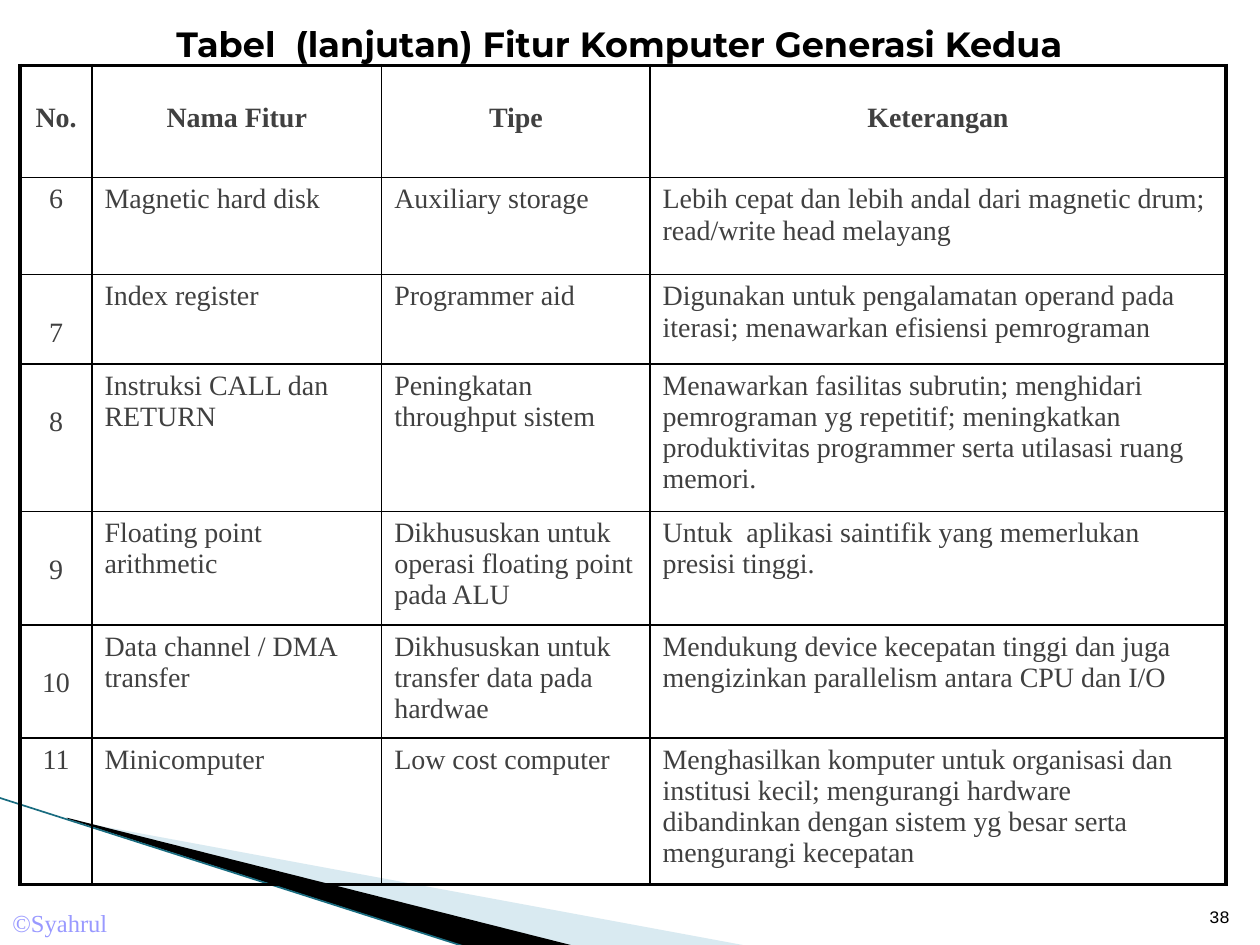
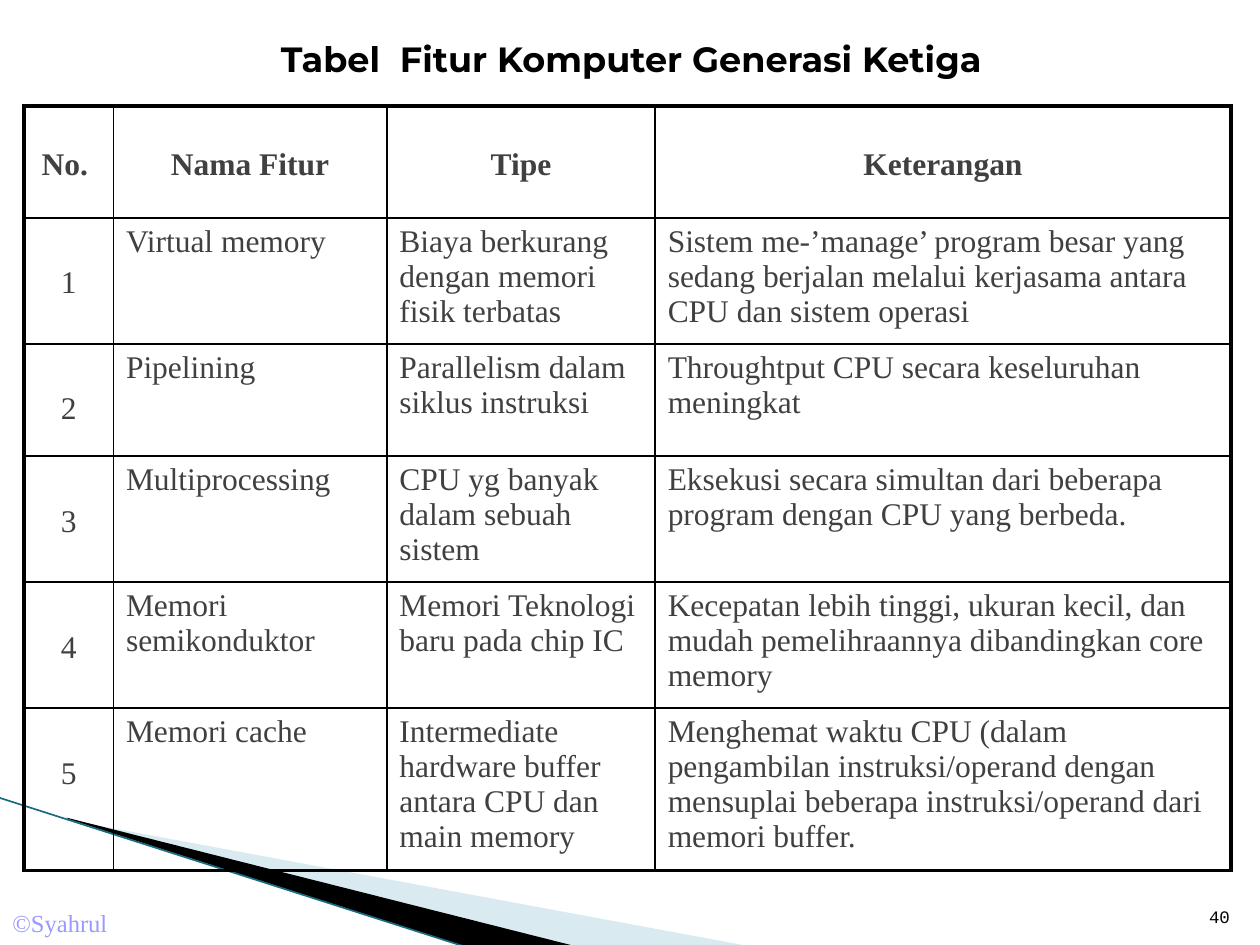
from dataclasses import dataclass

from lxml import etree
from pptx import Presentation
from pptx.dml.color import RGBColor
from pptx.enum.shapes import MSO_CONNECTOR
from pptx.enum.text import MSO_ANCHOR, MSO_AUTO_SIZE, PP_ALIGN
from pptx.oxml.ns import qn
from pptx.util import Inches, Pt

LEFT, CENTER, RIGHT = PP_ALIGN.LEFT, PP_ALIGN.CENTER, PP_ALIGN.RIGHT
TOP, BOTTOM = MSO_ANCHOR.TOP, MSO_ANCHOR.BOTTOM
STRAIGHT = MSO_CONNECTOR.STRAIGHT
NO_AUTOFIT = MSO_AUTO_SIZE.NONE


@dataclass(frozen=True)
class Theme:
    black: str = "000000"
    body: str = "404040"
    credit: str = "9999FF"
    pale_band: str = "A0CBDC"
    band_edge: str = "196C80"
    title_font: str = "Montserrat"
    body_font: str = "Times New Roman"
    number_font: str = "Courier New"
    title_size: int = 20
    credit_size: int = 14
    number_size: int = 10
    outer_border: float = 2.25
    inner_border: float = 1


THEME = Theme()
CREDIT = "©Syahrul"
HEADERS = ("No. ", "Nama Fitur", "Tipe", "Keterangan")
PALE_BAND = [(0.55, 6.51), (5.95, 7.51), (4.56, 7.51), (0.55, 6.5)]
PALE_FRAME = (0.78, 5.47, 4.16, 1.58)
BLACK_BAND = [(0.53, 6.49), (4.57, 7.51), (3.72, 7.52), (0.54, 6.5)]
BLACK_FRAME = (-0.06, 6.33, 4.16, 0.92)
BAND_EDGE = (-0.01, 6.33, 3.71, 7.52)

FEATURE_TABLES = [
    {
        "title": "Tabel  (lanjutan) Fitur Komputer Generasi Kedua",
        "title_box": (1.3, 0.13, 7.69, 0.43),
        "page": "38",
        "origin": (0.16, 0.52),
        "columns": (0.57, 2.3, 2.13, 4.57),
        "heights": (0.89, 0.77, 0.71, 1.17, 0.9, 0.9, 1.16),
        "size": 16,
        "number_drop": 0.29,
        "raised_numbers": ("6", "11"),
        "rows": [
            ("6", "Magnetic hard disk", "Auxiliary storage",
             "Lebih cepat dan lebih andal dari magnetic drum; read/write head melayang"),
            ("7", "Index register", "Programmer aid",
             "Digunakan untuk pengalamatan operand pada iterasi; "
             "menawarkan efisiensi pemrograman"),
            ("8", "Instruksi CALL dan RETURN", "Peningkatan throughput sistem",
             "Menawarkan fasilitas subrutin; menghidari pemrograman yg repetitif; "
             "meningkatkan produktivitas programmer serta utilasasi ruang memori."),
            ("9", "Floating point arithmetic",
             "Dikhususkan untuk operasi floating point pada ALU",
             "Untuk  aplikasi saintifik yang memerlukan presisi tinggi."),
            ("10", "Data channel / DMA transfer",
             "Dikhususkan untuk transfer data pada hardwae",
             "Mendukung device kecepatan tinggi dan juga mengizinkan parallelism "
             "antara CPU dan I/O"),
            ("11", "Minicomputer", "Low cost computer",
             "Menghasilkan komputer untuk organisasi dan institusi kecil; mengurangi "
             "hardware dibandinkan dengan sistem yg besar serta mengurangi kecepatan"),
        ],
    },
    {
        "title": "Tabel  Fitur Komputer Generasi Ketiga",
        "title_box": (2.13, 0.25, 6.18, 0.43),
        "page": "40",
        "origin": (0.19, 0.84),
        "columns": (0.71, 2.17, 2.13, 4.57),
        "heights": (0.89, 1, 0.89, 1, 1, 1.29),
        "size": 18,
        "number_drop": 0.33,
        "raised_numbers": (),
        "rows": [
            ("1", "Virtual memory", "Biaya berkurang dengan memori fisik terbatas",
             "Sistem me-’manage’ program besar yang sedang berjalan melalui kerjasama "
             "antara CPU dan sistem operasi"),
            ("2", "Pipelining", "Parallelism dalam siklus instruksi",
             "Throughtput CPU secara keseluruhan meningkat"),
            ("3", "Multiprocessing", "CPU yg banyak dalam sebuah sistem",
             "Eksekusi secara simultan dari beberapa program dengan CPU yang berbeda."),
            ("4", "Memori semikonduktor", "Memori Teknologi baru pada chip IC",
             "Kecepatan lebih tinggi, ukuran kecil, dan mudah pemelihraannya "
             "dibandingkan core memory"),
            ("5", "Memori cache",
             "Intermediate hardware buffer antara CPU dan main memory",
             "Menghemat waktu CPU (dalam pengambilan instruksi/operand dengan "
             "mensuplai beberapa instruksi/operand dari memori buffer."),
        ],
    },
]


def write(text_frame, text, *, size, font=THEME.body_font, color=THEME.black,
          bold=False, align=LEFT, spacing=1.0):
    paragraph = text_frame.paragraphs[0]
    paragraph.alignment = align
    paragraph.line_spacing = spacing
    run = paragraph.add_run()
    run.text = text
    run.font.name = font
    run.font.size = Pt(size)
    run.font.bold = bold
    run.font.color.rgb = RGBColor.from_string(color)


def add_text_box(slide, box, text, *, anchor=TOP, wrap=True, **text_format):
    shape = slide.shapes.add_textbox(*map(Inches, box))
    shape.text_frame.word_wrap = wrap
    shape.text_frame.vertical_anchor = anchor
    write(shape.text_frame, text, **text_format)
    return shape


def reframe(shape, frame):
    left, top, width, height = map(Inches, frame)
    geometry = shape.element.spPr.find(".//" + qn("a:pathLst"))[0]
    for point in geometry.iter(qn("a:pt")):
        point.set("x", str(int(point.get("x")) + shape.left - left))
        point.set("y", str(int(point.get("y")) + shape.top - top))
    geometry.set("w", str(width))
    geometry.set("h", str(height))
    shape.left, shape.top, shape.width, shape.height = left, top, width, height


def add_band(slide, points, frame, color, opacity=None):
    corners = [(Inches(x), Inches(y)) for x, y in points]
    builder = slide.shapes.build_freeform(*corners[0], scale=1.0)
    builder.add_line_segments(corners[1:], close=True)
    shape = builder.convert_to_shape()
    reframe(shape, frame)
    shape.shadow.inherit = False
    shape.fill.solid()
    shape.fill.fore_color.rgb = RGBColor.from_string(color)
    shape.line.fill.background()
    if opacity is not None:
        fill_color = shape.element.spPr.find(".//" + qn("a:srgbClr"))
        etree.SubElement(fill_color, qn("a:alpha"), val=str(opacity * 1000))
    return shape


def add_band_edge(slide):
    connector = slide.shapes.add_connector(STRAIGHT, *map(Inches, BAND_EDGE))
    connector.line.color.rgb = RGBColor.from_string(THEME.band_edge)
    connector.line.width = Pt(0.95)
    etree.SubElement(connector.element.spPr, qn("a:effectLst"))
    return connector


def decorate_layout(layout, slide):
    decorations = [
        add_band(slide, PALE_BAND, PALE_FRAME, THEME.pale_band, opacity=40),
        add_band(slide, BLACK_BAND, BLACK_FRAME, THEME.black),
        add_band_edge(slide),
        add_text_box(slide, (0, 7.16, 0.96, 0.33), CREDIT, wrap=False,
                     size=THEME.credit_size, color=THEME.credit),
    ]
    for shape_id, shape in enumerate(decorations, start=20):
        shape.element.find(".//" + qn("p:cNvPr")).set("id", str(shape_id))
        layout.shapes.element.append(shape.element)


def set_borders(cell, widths):
    properties = cell._tc.get_or_add_tcPr()
    for index, (side, width) in enumerate(widths.items()):
        line = etree.Element(qn("a:ln" + side), w=str(Pt(width)))
        fill = etree.SubElement(line, qn("a:solidFill"))
        etree.SubElement(fill, qn("a:srgbClr"), val=THEME.black)
        properties.insert(index, line)


def add_feature_table(slide, content):
    rows = [HEADERS, *content["rows"]]
    columns, heights = content["columns"], content["heights"]
    frame = slide.shapes.add_table(
        len(rows), len(columns), *map(Inches, content["origin"]),
        Inches(sum(columns)), Inches(sum(heights)))
    table = frame.table
    table.first_row = table.horz_banding = False
    for column, width in zip(table.columns, columns):
        column.width = Inches(width)
    for row, height in zip(table.rows, heights):
        row.height = Inches(height)

    last_row, last_column = len(rows) - 1, len(columns) - 1
    for row_index, row in enumerate(rows):
        is_header = row_index == 0
        for column_index, text in enumerate(row):
            cell = table.cell(row_index, column_index)
            is_number = column_index == 0
            cell.fill.background()
            if is_number and not is_header and text not in content["raised_numbers"]:
                cell.margin_top = Inches(0.05 + content["number_drop"])
            if not is_number and not is_header:
                cell.margin_right = Inches(0.12)
            write(cell.text_frame, text, size=content["size"], color=THEME.body,
                  bold=is_header, align=CENTER if is_header or is_number else LEFT,
                  spacing=2.0 if is_header else 1.0)
            on_edge = {"L": is_number, "R": column_index == last_column,
                       "T": is_header, "B": row_index == last_row}
            set_borders(cell, {
                side: THEME.outer_border if outer else THEME.inner_border
                for side, outer in on_edge.items()})


def add_title(slide, box, text):
    title = slide.shapes.title
    title.left, title.top, title.width, title.height = map(Inches, box)
    title.text_frame.auto_size = NO_AUTOFIT
    title.text_frame.vertical_anchor = TOP
    write(title.text_frame, text, size=THEME.title_size, font=THEME.title_font, bold=True)


def main():
    presentation = Presentation()
    presentation.slide_width, presentation.slide_height = Inches(10), Inches(7.5)
    layout = presentation.slide_layouts.get_by_name("Title Only")
    for index, content in enumerate(FEATURE_TABLES):
        slide = presentation.slides.add_slide(layout)
        if index == 0:
            decorate_layout(layout, slide)
        add_title(slide, content["title_box"], content["title"])
        add_feature_table(slide, content)
        add_text_box(slide, (9.46, 7.01, 0.4, 0.4), content["page"], anchor=BOTTOM,
                     size=THEME.number_size, font=THEME.number_font, align=RIGHT)
    presentation.save("out.pptx")


if __name__ == "__main__":
    main()
